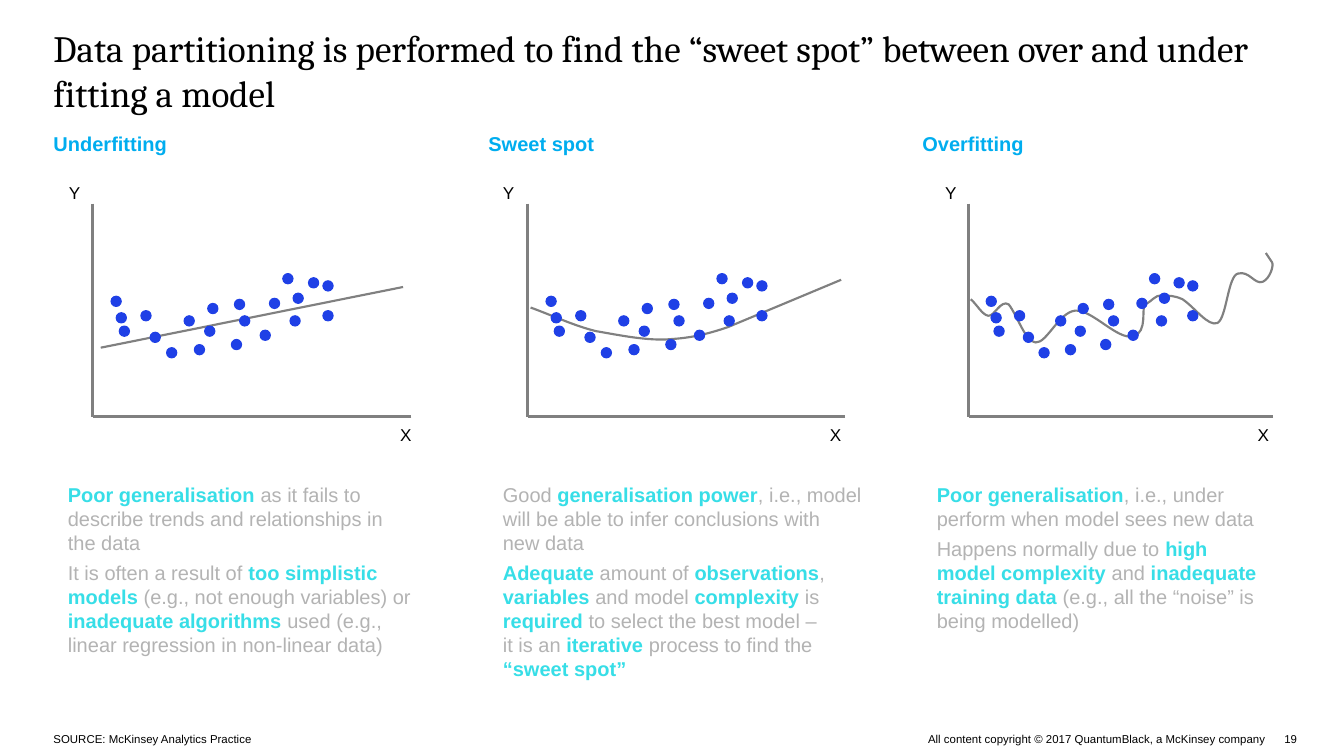
from lxml import etree
from pptx import Presentation
from pptx import util as u
from pptx.dml.color import RGBColor
from pptx.enum import dml, shapes, text
from pptx.oxml.ns import qn

COLORS = {"black": "000000", "white": "FFFFFF", "heading": "00ADEF",
          "strong": "37DEE7", "body": "B3B3B3", "axis": "808080", "dot": "1F40E6"}

TITLE = ("Data partitioning is performed to find the “sweet spot” "
         "between over and under fitting a model")
SOURCE = "SOURCE: McKinsey Analytics Practice"
COPYRIGHT = "All content copyright © 2017 QuantumBlack, a McKinsey company"
PAGE = "19"

COLUMNS = [
    {"heading": "Underfitting", "left": 0.52, "axis": (0.9, 4.0),
     "labels": (0.67, 3.89), "dots": (1.08, 3.14), "start": (0.98, 3.38),
     "curve": [[(3.92, 2.79)]],
     "body": ["**Poor generalisation **as it fails to describe trends and "
              "relationships in \nthe data",
              "It is often a result of **too simplistic models** (e.g., not enough "
              "variables) or **inadequate algorithms **used (e.g., linear "
              "regression in non-linear data)"]},
    {"heading": "Sweet spot", "left": 4.75, "axis": (5.13, 8.22),
     "labels": (4.89, 8.07), "dots": (5.31, 7.36), "start": (5.16, 2.99),
     "curve": [[(5.38, 3.07), (5.59, 3.17), (5.8, 3.22)],
               [(5.98, 3.25), (6.26, 3.31), (6.48, 3.3)],
               [(6.63, 3.29), (6.79, 3.28), (7.08, 3.18)],
               [(8.18, 2.72)]],
     "body": ["Good **generalisation power**, i.e., model will be able to infer "
              "conclusions with \nnew data",
              "**Adequate** amount of **observations**, **variables** and model "
              "**complexity** is **required** to select the best model – \nit is an "
              "**iterative** process to find the **“sweet spot”**"]},
    {"heading": "Overfitting", "left": 8.97, "axis": (9.42, 12.38),
     "labels": (9.19, 12.23), "dots": (9.59, 11.55), "start": (9.44, 2.91),
     "curve": [[(9.5, 2.96), (9.55, 3.06), (9.61, 3.07)],
               [(9.67, 3.08), (9.73, 2.91), (9.81, 2.96)],
               [(9.9, 3.08), (9.97, 3.32), (10.07, 3.33)],
               [(10.18, 3.34), (10.3, 3.03), (10.46, 3.02)],
               [(10.62, 3.01), (10.87, 3.31), (11.02, 3.27)],
               [(11.17, 3.23), (11.09, 2.98), (11.14, 2.96)],
               [(11.2, 2.93), (11.23, 2.87), (11.3, 2.87)],
               [(11.38, 2.88), (11.41, 2.87), (11.5, 2.91)],
               [(11.62, 2.99), (11.75, 3.18), (11.84, 3.14)],
               [(11.93, 3.09), (11.94, 2.68), (12.04, 2.66)],
               [(12.15, 2.63), (12.2, 2.77), (12.28, 2.74)],
               [(12.35, 2.71), (12.39, 2.58), (12.37, 2.55)],
               [(12.31, 2.46)]],
     "body": ["**Poor generalisation**, i.e., under perform when model sees new data",
              "Happens normally due to **high \nmodel complexity **and "
              "**inadequate training data** (e.g., all the “noise” is being "
              "modelled)"]},
]

DOTS = [(0, 2.88), (0.05, 3.04), (0.08, 3.17), (0.29, 3.02), (0.38, 3.23),
        (0.91, 3.17), (0.71, 3.07), (0.54, 3.38), (0.81, 3.35), (1.17, 3.3),
        (1.45, 3.21), (1.25, 3.07), (0.94, 2.95), (1.2, 2.91), (1.54, 2.9),
        (1.74, 3.07), (2.06, 3.02), (1.77, 2.85), (1.67, 2.66), (1.92, 2.7),
        (2.06, 2.73)]
DOT_SPAN = max(x for x, y in DOTS)

COL_W, GAP, DOT = 3.63, 0.3, 0.1
COL_TOP, COL_BOTTOM = 1.28, 6.65
AXIS_TOP, AXIS_BOTTOM = 1.98, 4.05


def rgb(name):
    return RGBColor.from_string(COLORS[name])


def style(font, color, **values):
    for key, value in {"name": "Arial", **values}.items():
        setattr(font, key, value)
    font.color.rgb = rgb(color)


def frame(sp, anchor=text.MSO_ANCHOR.TOP):
    tf = sp.text_frame
    values = {"word_wrap": True, "auto_size": text.MSO_AUTO_SIZE.NONE,
              "vertical_anchor": anchor, "margin_left": 0, "margin_top": 0,
              "margin_right": 0, "margin_bottom": 0}
    for key, value in values.items():
        setattr(tf, key, value)
    return tf


def add_box(s, box, anchor=text.MSO_ANCHOR.TOP):
    return frame(s.shapes.add_textbox(*map(u.Inches, box)), anchor)


def add_label(s, words, box, size, color="black", bold=False,
              align=text.PP_ALIGN.LEFT, anchor=text.MSO_ANCHOR.TOP):
    p = add_box(s, box, anchor).paragraphs[0]
    p.alignment = align
    r = p.add_run()
    r.text = words
    style(r.font, color, size=u.Pt(size), bold=bold)


def add_bullet(p):
    pPr = p._p.get_or_add_pPr()
    pPr.set("marL", str(u.Inches(0.14)))
    pPr.set("indent", str(u.Inches(-0.14)))
    clr = etree.SubElement(pPr, qn("a:buClr"))
    etree.SubElement(clr, qn("a:srgbClr"), val=COLORS["white"])
    etree.SubElement(pPr, qn("a:buFont"), typeface="Arial")
    etree.SubElement(pPr, qn("a:buChar"), char="•")


def add_body(s, paragraphs, left):
    tf = add_box(s, (left, 4.69, COL_W, 1.96))
    for i, words in enumerate(paragraphs):
        p = tf.add_paragraph() if i else tf.paragraphs[0]
        add_bullet(p)
        p.space_after = u.Pt(4.5)
        for j, chunk in enumerate(words.split("**")):
            strong = j % 2 == 1
            for k, line in enumerate(chunk.split("\n")):
                if k:
                    p.add_line_break()
                if line:
                    r = p.add_run()
                    r.text = line
                    style(r.font, "strong" if strong else "body",
                          size=u.Pt(14), bold=strong)


def add_line(s, start, end, color="axis", width=2.25, dash=None):
    ln = s.shapes.add_connector(shapes.MSO_CONNECTOR.STRAIGHT,
                                *map(u.Inches, start + end))
    ln.line.color.rgb = rgb(color)
    ln.line.width = u.Pt(width)
    ln.line.dash_style = dash
    etree.SubElement(ln._element.spPr, qn("a:effectLst"))


def add_filled(s, kind, box, color, width):
    sp = s.shapes.add_shape(kind, *map(u.Inches, box))
    sp.shadow.inherit = False
    sp.fill.solid()
    sp.fill.fore_color.rgb = rgb(color)
    sp.line.color.rgb = rgb(color)
    sp.line.width = u.Pt(width)


def add_curve(s, start, segments):
    points = [start] + [pt for seg in segments for pt in seg]
    emu = [(u.Inches(x), u.Inches(y)) for x, y in points]
    fb = s.shapes.build_freeform(*emu[0])
    fb.add_line_segments(emu[1:], close=False)
    sp = fb.convert_to_shape()
    steps = iter(list(sp._element.iter(qn("a:lnTo"))))
    for seg in segments:
        group = [next(steps) for _ in seg]
        if len(group) == 3:
            bez = etree.Element(qn("a:cubicBezTo"))
            group[0].addprevious(bez)
            for step in group:
                bez.append(step[0])
                step.getparent().remove(step)
    sp.shadow.inherit = False
    sp.fill.background()
    sp.line.color.rgb = rgb("axis")
    sp.line.width = u.Pt(1.5)


def add_column(s, col):
    left, (x0, x1), (y_label, x_label) = col["left"], col["axis"], col["labels"]
    first, last = col["dots"]
    add_filled(s, shapes.MSO_SHAPE.RECTANGLE, (left, 1.57, COL_W, 2.95), "white", 0.25)
    add_label(s, col["heading"], (left, COL_TOP, COL_W, 0.26), 14, "heading", True)
    add_label(s, "Y", (y_label, 1.77, 0.15, 0.18), 12)
    add_label(s, "X", (x_label, 4.13, 0.15, 0.18), 12)
    add_line(s, (x0, AXIS_TOP), (x0, AXIS_BOTTOM))
    add_line(s, (x1, AXIS_BOTTOM), (x0, AXIS_BOTTOM))
    add_curve(s, col["start"], col["curve"])
    for x, y in DOTS:
        box = (first + x * (last - first) / DOT_SPAN, y, DOT, DOT)
        add_filled(s, shapes.MSO_SHAPE.OVAL, box, "dot", 0.75)
    add_body(s, col["body"], left)


def main():
    prs = Presentation()
    prs.slide_width, prs.slide_height = u.Inches(13.07), u.Inches(7.35)
    s = prs.slides.add_slide(prs.slide_layouts[5])

    title = s.shapes.title
    title.left, title.top, title.width, title.height = map(
        u.Inches, (0.52, 0.25, 12.08, 0.44))
    p = frame(title).paragraphs[0]
    p.alignment = text.PP_ALIGN.LEFT
    r = p.add_run()
    r.text = TITLE
    style(r.font, "black", name="Cambria", size=u.Pt(26))

    for col in COLUMNS:
        add_column(s, col)
    for col in COLUMNS[1:]:
        x = col["left"] - GAP
        add_line(s, (x, COL_TOP), (x, COL_BOTTOM), "white", 0.75, dml.MSO_LINE.DASH)

    middle = text.MSO_ANCHOR.MIDDLE
    add_label(s, SOURCE, (0.52, 7.12, 10.57, 0.13), 8, anchor=middle)
    add_label(s, COPYRIGHT, (8.9, 7.12, 3.41, 0.13), 8,
              align=text.PP_ALIGN.RIGHT, anchor=middle)
    add_label(s, PAGE, (12.49, 7.12, 0.14, 0.13), 8, anchor=middle)
    prs.save("out.pptx")


if __name__ == "__main__":
    main()
